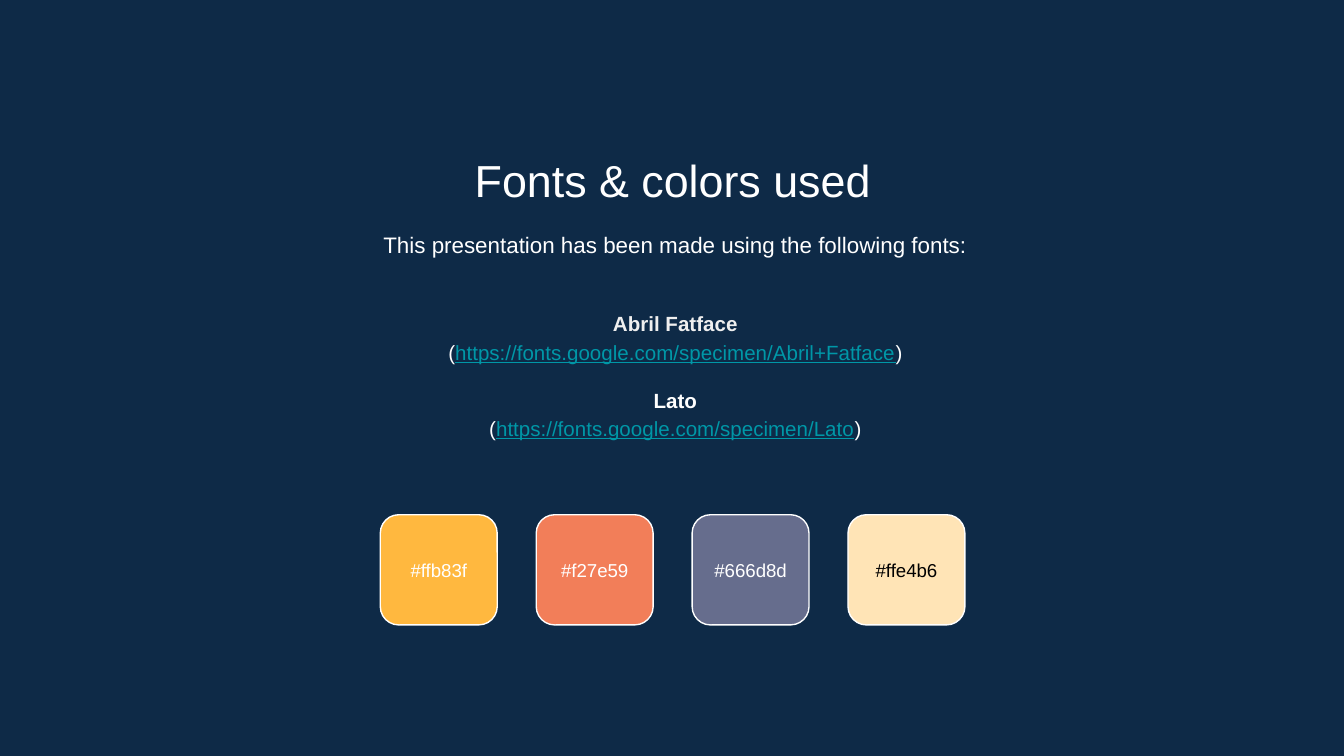
from pptx import Presentation
from pptx.dml.color import RGBColor
from pptx.enum import shapes, text
from pptx.util import Inches, Pt

FONT = "Arial"
NAVY, WHITE, BLACK = "0E2A47", "FFFFFF", "000000"
PALE, TEAL = "EFEFEF", "0097A7"

TITLE = "Fonts & colors used"
INTRO = "This presentation has been made using the following fonts:"
TYPEFACES = [  # name, name colour, web address
    ("Abril Fatface", PALE, "https://fonts.google.com/specimen/Abril+Fatface"),
    ("Lato", WHITE, "https://fonts.google.com/specimen/Lato"),
]
SWATCHES = [  # fill, label colour
    ("ffb83f", WHITE),
    ("f27e59", WHITE),
    ("666d8d", WHITE),
    ("ffe4b6", BLACK),
]
SWATCH_LEFT, SWATCH_TOP = 2.83, 3.83
SWATCH_WIDTH, SWATCH_HEIGHT, SWATCH_STEP = 0.87, 0.82, 1.16
TYPEFACE_GAP = 10.6


def rgb(value):
    return RGBColor.from_string(value.upper())


def write(frame, paragraphs, size, spacing=1.0, inset=0.1,
          anchor=text.MSO_ANCHOR.TOP):
    """Fill a frame with (space before, [(words, colour, format), ...])."""
    frame.word_wrap = True
    frame.vertical_anchor = anchor
    frame.margin_left = frame.margin_right = Inches(inset)
    frame.margin_top = frame.margin_bottom = Inches(inset)
    for index, (gap, runs) in enumerate(paragraphs):
        paragraph = frame.add_paragraph() if index else frame.paragraphs[0]
        paragraph.alignment = text.PP_ALIGN.CENTER
        paragraph.line_spacing = spacing
        if gap:
            paragraph.space_before = Pt(gap)
        for words, colour, style in runs:
            run = paragraph.add_run()
            run.text = words
            run.font.name = FONT
            run.font.size = Pt(size)
            run.font.color.rgb = rgb(colour)
            run.font.bold = style == "bold"
            run.font.underline = style == "underline"


def add_text(slide, left, top, width, height, paragraphs, **style):
    box = slide.shapes.add_textbox(
        Inches(left), Inches(top), Inches(width), Inches(height))
    write(box.text_frame, paragraphs, **style)


def add_swatch(slide, left, fill, label_colour):
    swatch = slide.shapes.add_shape(
        shapes.MSO_SHAPE.ROUNDED_RECTANGLE, Inches(left), Inches(SWATCH_TOP),
        Inches(SWATCH_WIDTH), Inches(SWATCH_HEIGHT))
    swatch.shadow.inherit = False
    swatch.fill.solid()
    swatch.fill.fore_color.rgb = rgb(fill)
    swatch.line.color.rgb = rgb(WHITE)
    swatch.line.width = Pt(0.75)
    write(swatch.text_frame, [(0, [("#" + fill, label_colour, None)])],
          size=10, inset=0.03, anchor=text.MSO_ANCHOR.MIDDLE)


def main():
    prs = Presentation()
    prs.slide_width = Inches(10)
    prs.slide_height = prs.slide_width * 9 // 16
    slide = prs.slides.add_slide(prs.slide_layouts[6])
    slide.background.fill.solid()
    slide.background.fill.fore_color.rgb = rgb(NAVY)

    add_text(slide, 1.15, 1.04, 7.71, 0.53,
             [(0, [(TITLE, WHITE, None)])], size=24)
    add_text(slide, 1.17, 1.59, 7.71, 0.48,
             [(0, [(INTRO, WHITE, None)])], size=12, spacing=1.15)

    typeface_lines = []
    for index, (name, colour, address) in enumerate(TYPEFACES):
        typeface_lines += [
            (TYPEFACE_GAP if index else 0, [(name, colour, "bold")]),
            (0, [("(", WHITE, None), (address, TEAL, "underline"),
                 (")", WHITE, None)]),
        ]
    add_text(slide, 1.17, 2.1, 7.71, 1.37, typeface_lines, size=11,
             spacing=1.15, anchor=text.MSO_ANCHOR.MIDDLE)

    for index, (fill, label_colour) in enumerate(SWATCHES):
        add_swatch(slide, SWATCH_LEFT + index * SWATCH_STEP, fill, label_colour)

    prs.save("out.pptx")


if __name__ == "__main__":
    main()
